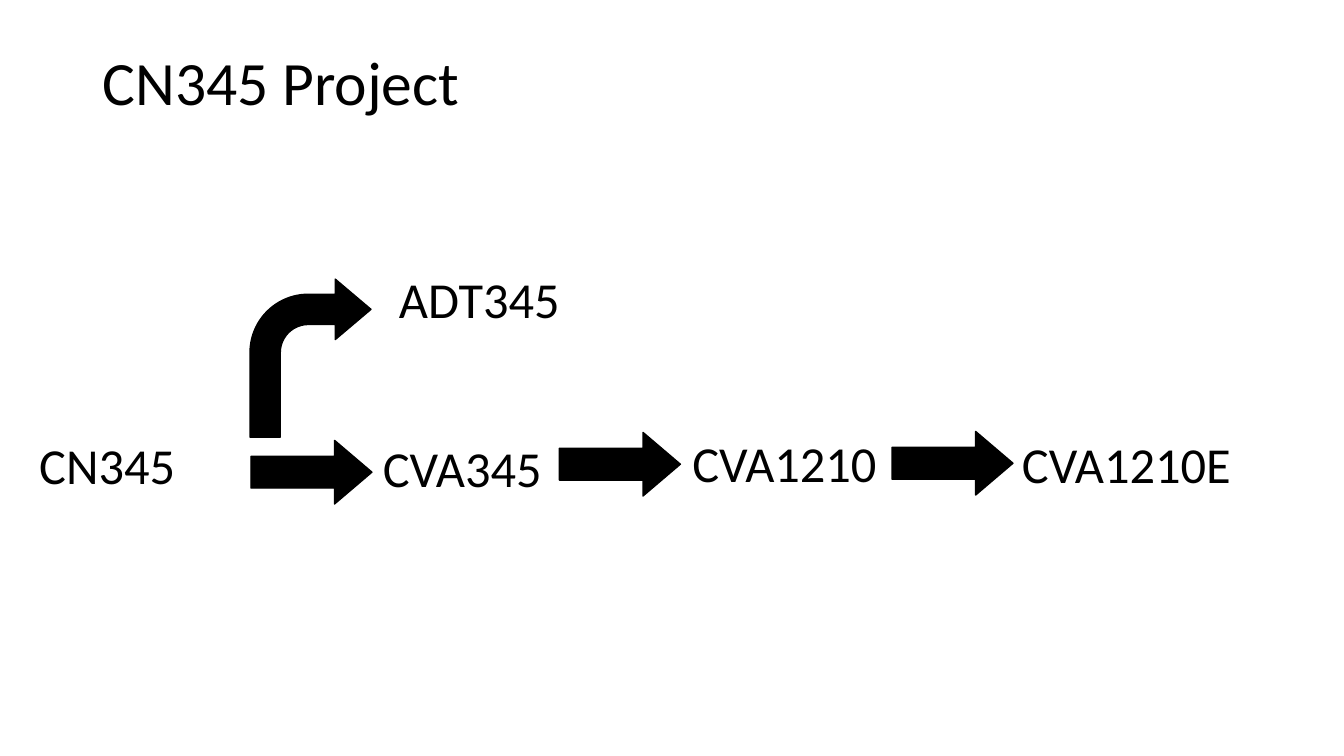
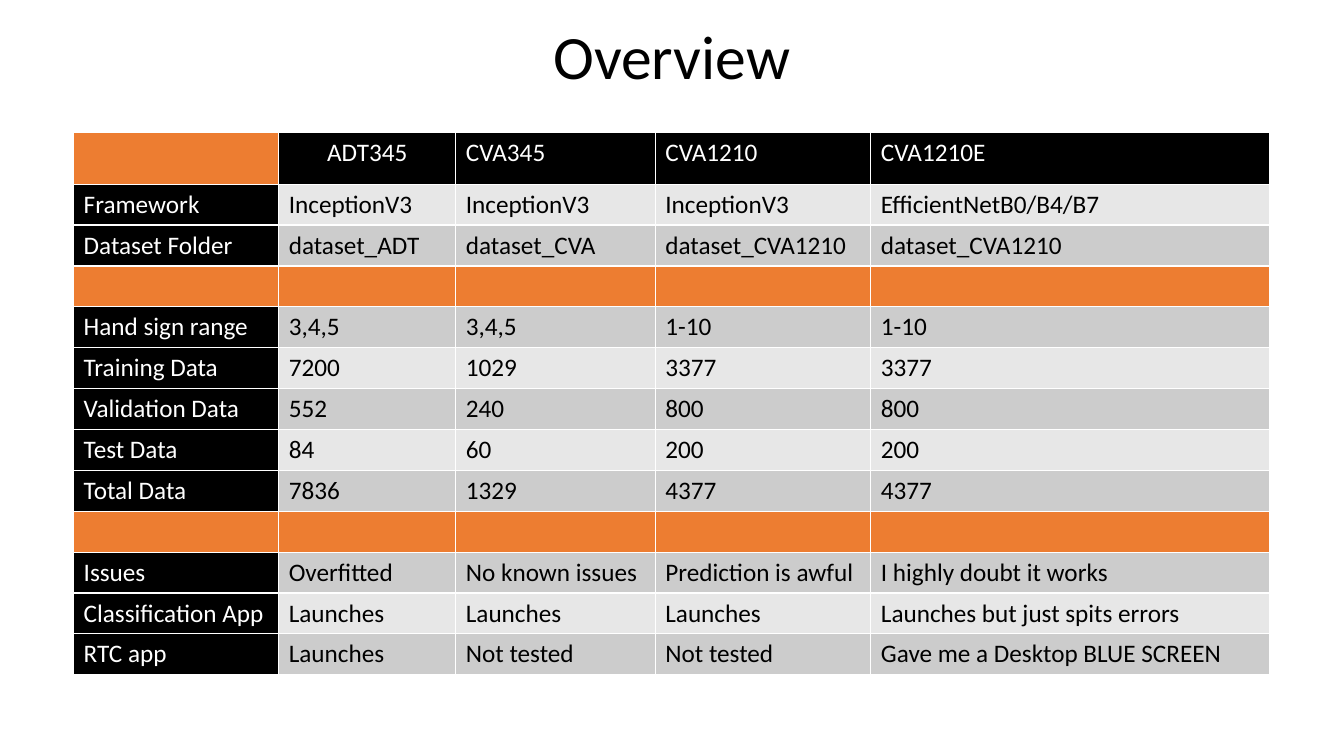
from lxml import etree
from pptx import Presentation
from pptx.dml.color import RGBColor
from pptx.enum import shapes, text
from pptx.oxml import ns
from pptx.util import Pt

COLORS = {
    "black": "000000",
    "white": "FFFFFF",
    "divider": "ED7D31",
    "light": "E7E7E7",
    "dark": "CCCCCC",
}
RGB = {name: RGBColor.from_string(value) for name, value in COLORS.items()}
LEFT, CENTER = text.PP_ALIGN.LEFT, text.PP_ALIGN.CENTER


def write(paragraph, words, size, color="black", align=LEFT):
    paragraph.alignment = align
    run = paragraph.add_run()
    run.text = words
    run.font.name = "Calibri"
    run.font.size = Pt(size)
    run.font.bold = False
    run.font.color.rgb = RGB[color]


def add_titled_slide(words, top, height, align):
    slide = prs.slides.add_slide(prs.slide_layouts[5])
    title = slide.shapes.title
    title.left, title.top, title.width, title.height = Pt(66), Pt(top), Pt(828), Pt(height)
    title.text_frame.vertical_anchor = text.MSO_ANCHOR.MIDDLE
    heading = title.text_frame.paragraphs[0]
    heading.line_spacing = 0.9
    write(heading, words, 44, align=align)
    return slide


prs = Presentation()
prs.slide_width, prs.slide_height = Pt(960), Pt(540)

# Project flow
project = add_titled_slide("CN345 Project", 28.8, 64.8, LEFT)

RIGHT, BENT = shapes.MSO_SHAPE.RIGHT_ARROW, shapes.MSO_SHAPE.BENT_ARROW
right_bends, corner_bends = [0.5, 0.587], [0.25, 0.25, 0.295, 0.482]
arrows = [
    (BENT, 178.6, 199.4, 113, corner_bends),
    (RIGHT, 179.3, 314.6, 45.4, right_bends),
    (RIGHT, 399.6, 308.9, 45.4, right_bends),
    (RIGHT, 637.2, 308.2, 45.4, right_bends),
]
for kind, left, top, height, bends in arrows:
    arrow = project.shapes.add_shape(kind, Pt(left), Pt(top), Pt(86.4), Pt(height))
    arrow.shadow.inherit = False
    for index, bend in enumerate(bends):
        arrow.adjustments[index] = bend
    arrow.fill.solid()
    arrow.fill.fore_color.rgb = RGB["black"]
    arrow.line.color.rgb = RGB["black"]
    arrow.line.width = Pt(1)

stages = [
    ("CN345", 20.9, 306.7, 123.8),
    ("ADT345", 277.9, 187.9, 192.2),
    ("CVA345", 266.4, 308.9, 131.8),
    ("CVA1210", 487.4, 305.3, 159.1),
    ("CVA1210E", 722.9, 306, 175.7),
]
for stage, left, top, width in stages:
    label = project.shapes.add_textbox(Pt(left), Pt(top), Pt(width), Pt(51))
    label.text_frame.word_wrap = True
    write(label.text_frame.paragraphs[0], stage, 36)

# Comparison of the stages
overview = add_titled_slide("Overview", 10.8, 63.4, CENTER)

divider = [""] * 5
rows = [
    ["", "ADT345", "CVA345", "CVA1210", "CVA1210E"],
    ["Framework", "InceptionV3", "InceptionV3", "InceptionV3", "EfficientNetB0/B4/B7"],
    ["Dataset Folder", "dataset_ADT", "dataset_CVA", "dataset_CVA1210", "dataset_CVA1210"],
    divider,
    ["Hand sign range", "3,4,5", "3,4,5", "1-10", "1-10"],
    ["Training Data", "7200", "1029", "3377", "3377"],
    ["Validation Data", "552", "240", "800", "800"],
    ["Test Data", "84", "60", "200", "200"],
    ["Total Data", "7836", "1329", "4377", "4377"],
    divider,
    ["Issues", "Overfitted", "No known issues", "Prediction is awful", "I highly doubt it works"],
    ["Classification App", "Launches", "Launches", "Launches", "Launches but just spits errors"],
    ["RTC app", "Launches", "Not tested", "Not tested", "Gave me a Desktop BLUE SCREEN"],
]
column_widths = [146.5, 126.5, 142.5, 154, 285]
row_heights = [37] + [29.2] * (len(rows) - 1)

comparison = overview.shapes.add_table(
    len(rows), len(column_widths), Pt(52.6), Pt(94.6),
    Pt(sum(column_widths)), Pt(sum(row_heights))).table
for column, width in zip(comparison.columns, column_widths):
    column.width = Pt(width)
for row, height in zip(comparison.rows, row_heights):
    row.height = Pt(height)

for r, row in enumerate(rows):
    for c, words in enumerate(row):
        cell = comparison.cell(r, c)
        is_heading = r == 0 or c == 0
        if not words:
            fill = "divider"
        elif is_heading:
            fill = "black"
        else:
            fill = "light" if r % 2 else "dark"

        for side in ("lnL", "lnR", "lnT", "lnB"):
            border = etree.SubElement(cell._tc.get_or_add_tcPr(), ns.qn(f"a:{side}"), w=str(Pt(1)))
            paint = etree.SubElement(border, ns.qn("a:solidFill"))
            etree.SubElement(paint, ns.qn("a:srgbClr"), val=COLORS["white"])
        cell.fill.solid()
        cell.fill.fore_color.rgb = RGB[fill]

        if words:
            write(cell.text_frame.paragraphs[0], words, 18,
                  "white" if is_heading else "black",
                  CENTER if (r, c) == (0, 1) else LEFT)

prs.save("out.pptx")
